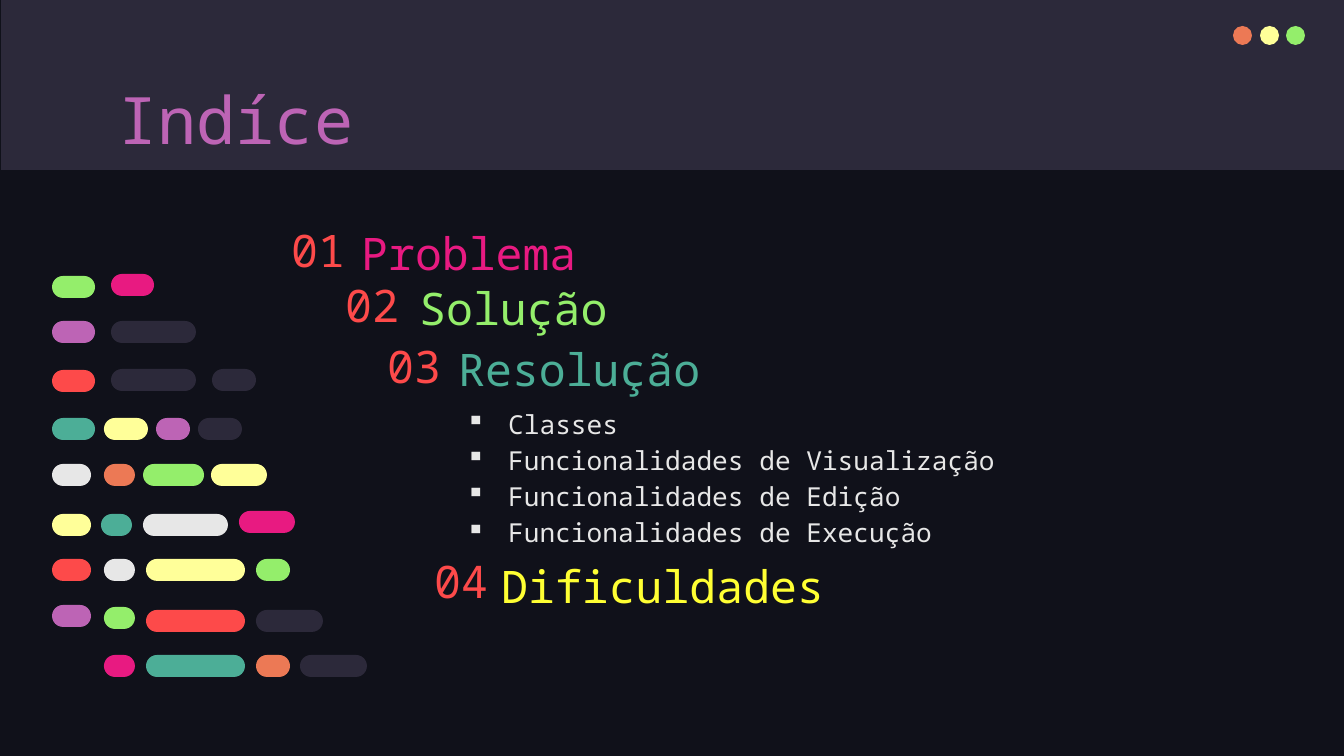
from lxml import etree
from pptx import Presentation
from pptx import util as u
from pptx.dml.color import RGBColor
from pptx.enum import shapes, text
from pptx.oxml.ns import qn

SCALE = 9144000 / 1344  # EMU per px
FONT = "Noto Sans Mono"

NIGHT = RGBColor(0x10, 0x11, 0x1A)
SLATE = RGBColor(0x2C, 0x29, 0x3A)
ORANGE = RGBColor(0xEC, 0x79, 0x55)
CREAM = RGBColor(0xFF, 0xFF, 0x99)
GREEN = RGBColor(0x94, 0xEE, 0x6B)
PURPLE = RGBColor(0xBD, 0x64, 0xB5)
RED = RGBColor(0xFD, 0x4A, 0x4A)
PINK = RGBColor(0xE8, 0x1A, 0x81)
TEAL = RGBColor(0x4C, 0xAE, 0x97)
WHITE = RGBColor(0xE7, 0xE7, 0xE7)
YELLOW = RGBColor(0xFF, 0xFF, 0x33)

PILL = 22  # height of a code bar

# Rows of code bars: (left, top, width, colour)
CODE = [
    [(52, 276, 43, GREEN), (111, 274, 43, PINK)],
    [(52, 321, 43, PURPLE), (111, 321, 85, SLATE)],
    [(52, 370, 43, RED), (111, 369, 85, SLATE), (212, 369, 44, SLATE)],
    [(52, 418, 43, TEAL), (104, 418, 44, CREAM), (156, 418, 34, PURPLE),
     (198, 418, 44, SLATE)],
    [(52, 464, 39, WHITE), (104, 464, 31, ORANGE), (143, 464, 61, GREEN),
     (211, 464, 56, CREAM)],
    [(52, 514, 39, CREAM), (101, 514, 31, TEAL), (143, 514, 85, WHITE),
     (239, 511, 56, PINK)],
    [(52, 559, 39, RED), (104, 559, 31, WHITE), (146, 559, 99, CREAM),
     (256, 559, 34, GREEN)],
    [(52, 605, 39, PURPLE), (104, 607, 31, GREEN), (146, 610, 99, RED),
     (256, 610, 67, SLATE)],
    [(104, 655, 31, PINK), (146, 655, 99, TEAL), (256, 655, 34, ORANGE),
     (300, 655, 67, SLATE)],
]

# Chapters: name, colour, name left and top, number left, top and height
PARTS = [
    ("Problema", PINK, 348, 222, 278, 221, 58),
    ("Solução", GREEN, 406, 277, 332, 276, 58),
    ("Resolução", TEAL, 445, 338, 374, 342, 48),
    ("Dificuldades", YELLOW, 488, 555, 421, 557, 48),
]

TOPICS = [
    "Classes",
    "Funcionalidades de Visualização",
    "Funcionalidades de Edição",
    "Funcionalidades de Execução",
]


def px(n):
    return u.Emu(round(n * SCALE))


def add_form(slide, kind, left, top, width, height, color):
    form = slide.shapes.add_shape(kind, px(left), px(top), px(width), px(height))
    form.shadow.inherit = False
    form.fill.solid()
    form.fill.fore_color.rgb = color
    form.line.fill.background()
    return form


def add_pill(slide, left, top, width, color):
    kind = shapes.MSO_SHAPE.ROUNDED_RECTANGLE
    pill = add_form(slide, kind, left, top, width, PILL, color)
    pill.adjustments[0] = 0.5


def add_bullet(para):
    props = para._p.get_or_add_pPr()
    props.set("marL", str(px(42)))
    props.set("indent", str(px(-42)))
    etree.SubElement(props, qn("a:buChar"), char="▪")


def add_text(slide, lines, left, top, width, height, size, color,
             anchor=text.MSO_ANCHOR.TOP, space=1.0, bullet=False):
    box = slide.shapes.add_textbox(px(left), px(top), px(width), px(height))
    frame = box.text_frame
    frame.word_wrap = True
    frame.vertical_anchor = anchor
    frame.margin_left = frame.margin_right = u.Inches(0.1)
    frame.margin_top = frame.margin_bottom = u.Inches(0.1)
    for i, line in enumerate(lines):
        para = frame.add_paragraph() if i else frame.paragraphs[0]
        para.line_spacing = space
        if bullet:
            add_bullet(para)
        run = para.add_run()
        run.text = line
        run.font.name = FONT
        run.font.size = u.Pt(size)
        run.font.color.rgb = color


def main():
    deck = Presentation()
    deck.slide_width, deck.slide_height = px(1344), px(756)
    slide = deck.slides.add_slide(deck.slide_layouts[6])
    slide.background.fill.solid()
    slide.background.fill.fore_color.rgb = NIGHT

    # Header band, window dots and title
    add_form(slide, shapes.MSO_SHAPE.RECTANGLE, 1, 0, 1343, 170, SLATE)
    for left, color in zip((1233, 1260, 1286), (ORANGE, CREAM, GREEN)):
        add_form(slide, shapes.MSO_SHAPE.OVAL, left, 26, 19, 19, color)
    add_text(slide, ["Indíce"], 105, 66, 1133, 85, 35, PURPLE)

    # Code bars
    for row in CODE:
        for bar in row:
            add_pill(slide, *bar)

    # Numbered chapters
    for i, (name, color, left, top, num_x, num_y, num_h) in enumerate(PARTS, 1):
        add_text(slide, [f"{i:02}"], num_x, num_y, 89, num_h, 24, RED,
                 anchor=text.MSO_ANCHOR.MIDDLE)
        add_text(slide, [name], left, top, 618, 71, 24, color,
                 anchor=text.MSO_ANCHOR.BOTTOM, space=1.15)

    # Topics of the third chapter
    add_text(slide, TOPICS, 453, 390, 618, 85, 14, WHITE, space=1.15, bullet=True)

    deck.save("out.pptx")


if __name__ == "__main__":
    main()
